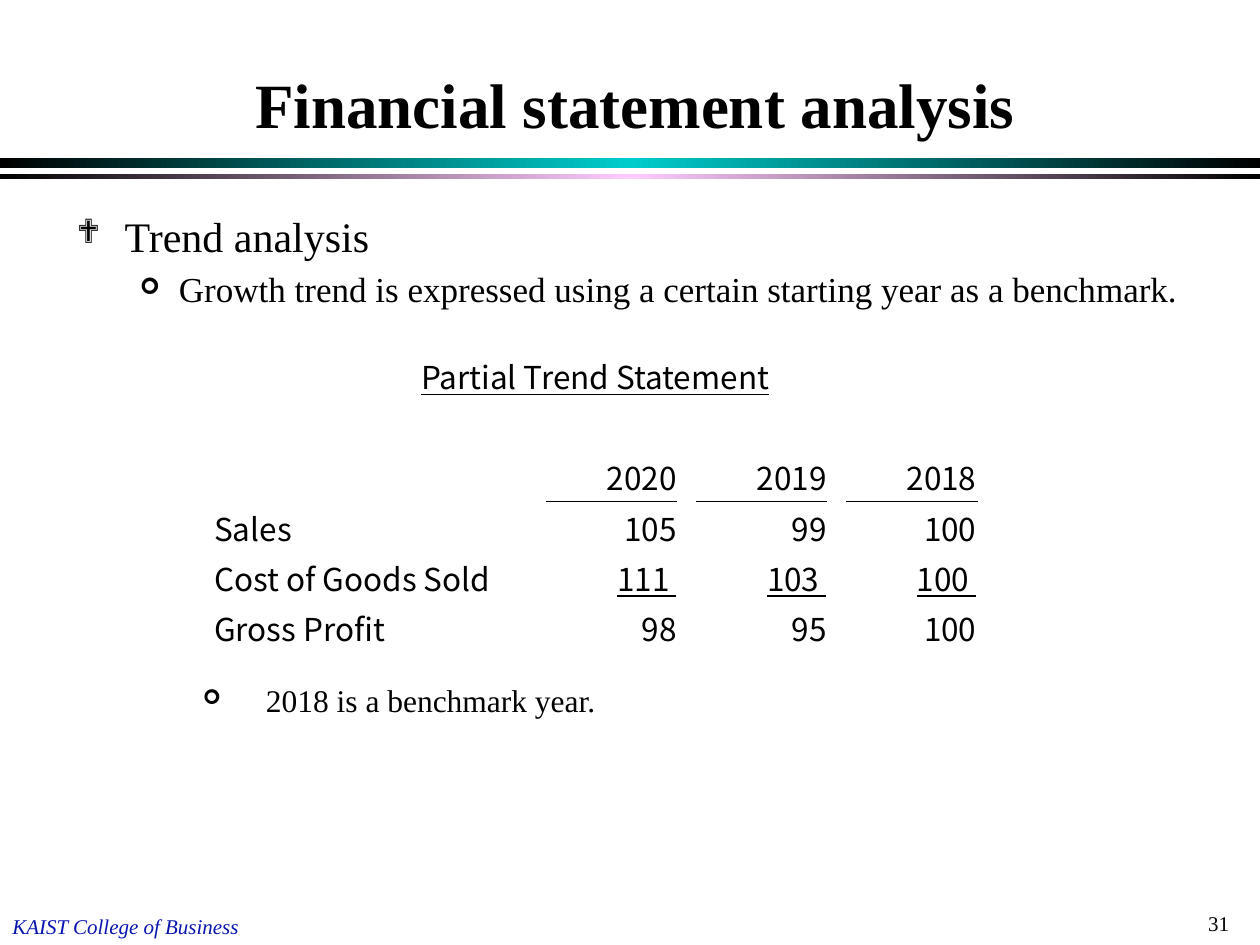
from copy import deepcopy

from lxml.etree import SubElement
from pptx import Presentation
from pptx.dml.color import RGBColor
from pptx.enum.shapes import MSO_SHAPE
from pptx.enum.text import MSO_ANCHOR, MSO_AUTO_SIZE, PP_ALIGN
from pptx.oxml.ns import qn
from pptx.util import Inches, Pt

SERIF = "Times New Roman"
SANS = "Noto Sans CJK KR"


def color(hex_code):
    return RGBColor.from_string(hex_code)


def write(para, text, size=18, font=SERIF, ink="000000", bold=False,
          italic=False, underline=False, align=PP_ALIGN.LEFT, before=0):
    para.alignment = align
    para.space_before = Pt(before)
    span = para.add_run()
    span.text = text
    span.font.size = Pt(size)
    span.font.name = font
    span.font.color.rgb = color(ink)
    span.font.bold = bold
    span.font.italic = italic
    span.font.underline = underline


def place(shape, box):
    shape.left, shape.top, shape.width, shape.height = map(Inches, box)


def add_bullet(para, mark, percent, indent, hanging):
    props = para._p.get_or_add_pPr()
    props.set("marL", str(Inches(indent)))
    props.set("indent", str(-Inches(hanging)))
    SubElement(SubElement(props, qn("a:buClr")), qn("a:srgbClr"), val="000000")
    SubElement(props, qn("a:buSzPct"), val=str(percent * 1000))
    SubElement(props, qn("a:buFont"), typeface="Wingdings")
    SubElement(props, qn("a:buChar"), char=mark)


def add_gradient_bar(page, box, middle):
    bar = page.shapes.add_shape(MSO_SHAPE.RECTANGLE, *map(Inches, box))
    bar.shadow.inherit = False
    bar.line.fill.background()
    bar.fill.gradient()
    bar.fill.gradient_angle = 0
    # A third stop puts the bright colour in the middle
    stop_list = bar._element.spPr.find(".//" + qn("a:gsLst"))
    stop_list.append(deepcopy(stop_list[-1]))
    stops = zip(bar.fill.gradient_stops, (0, 0.5, 1), ("000000", middle, "000000"))
    for stop, position, hex_code in stops:
        stop.position = position
        stop.color.rgb = color(hex_code)


def add_label(page, box, text, wrap=True, **look):
    label = page.shapes.add_textbox(*map(Inches, box))
    label.text_frame.word_wrap = wrap
    write(label.text_frame.paragraphs[0], text, size=12, **look)


def fill_title(page, box):
    title = page.shapes.title
    place(title, box)
    frame = title.text_frame
    frame.auto_size = MSO_AUTO_SIZE.NONE
    frame.vertical_anchor = MSO_ANCHOR.BOTTOM
    write(frame.paragraphs[0], "Financial statement analysis", size=36,
          bold=True, align=PP_ALIGN.CENTER)


def fill_body(page, box):
    body = page.placeholders[1]
    place(body, box)
    frame = body.text_frame
    frame.auto_size = MSO_AUTO_SIZE.NONE
    # Text, level, size, space before, bullet; the last gap clears the table
    items = [
        ("Trend analysis", 0, 24, 0, ("❖", 80, 0.38, 0.38)),
        ("Growth trend is expressed using a certain starting year as a benchmark.",
         1, 20, 4, ("➢", 65, 0.81, 0.31)),
        ("2018 is a benchmark year.", 2, 18, 212, ("➢", 65, 1.5, 0.5)),
    ]
    for number, (text, level, size, before, bullet) in enumerate(items):
        para = frame.add_paragraph() if number else frame.paragraphs[0]
        para.level = level
        add_bullet(para, *bullet)
        write(para, text, size=size, before=before)


def add_rule(cell, side):
    props = cell._tc.get_or_add_tcPr()
    line = SubElement(props, qn(f"a:{side}"), w=str(Pt(0.5)))
    fill = SubElement(line, qn("a:solidFill"))
    SubElement(fill, qn("a:srgbClr"), val="000000")


def add_trend_table(page, box):
    rows = [
        ["Partial Trend Statement"],
        [],
        ["", "2020", "2019", "2018"],
        ["Sales", "105", "99", "100"],
        ["Cost of Goods Sold", "111 ", "103 ", "100 "],
        ["Gross Profit", "98", "95", "100"],
    ]
    title_row, year_row, cost_row = 0, 2, 4
    widths = [2.65, 1.04, 0.15, 1.04, 0.15, 1.04]
    table = page.shapes.add_table(len(rows), len(widths), *map(Inches, box)).table
    table.first_row = table.horz_banding = False
    for column, width in zip(table.columns, widths):
        column.width = Inches(width)

    for cell in table.iter_cells():
        cell.margin_left = cell.margin_right = cell.margin_top = Inches(0.01)
        cell.margin_bottom = 0
        cell.vertical_anchor = MSO_ANCHOR.MIDDLE
    table.cell(0, 0).merge(table.cell(0, len(widths) - 1))

    for row, texts in enumerate(rows):
        for number, text in enumerate(texts):
            # Narrow spacer columns stand between the years
            cell = table.cell(row, max(0, 2 * number - 1))
            if number and row == year_row:
                add_rule(cell, "lnB")
            elif number and row == year_row + 1:
                add_rule(cell, "lnT")
            if text:
                align = PP_ALIGN.RIGHT if number else PP_ALIGN.LEFT
                if row == title_row:
                    align = PP_ALIGN.CENTER
                underline = row == title_row or (row == cost_row and number > 0)
                write(cell.text_frame.paragraphs[0], text, font=SANS,
                      underline=underline, align=align)
    for cell in table.iter_cells():
        cell.fill.background()


def main():
    deck = Presentation()
    deck.slide_width, deck.slide_height = Inches(10), Inches(7.5)
    page = deck.slides.add_slide(deck.slide_layouts[1])

    # Header
    add_gradient_bar(page, (0, 1.25, 10, 0.08), "00CCCC")
    add_gradient_bar(page, (0, 1.38, 10, 0.04), "FFCCFF")
    fill_title(page, (0.51, 0.25, 9.06, 0.92))

    # Content
    fill_body(page, (0.51, 1.62, 9.06, 5.75))
    add_trend_table(page, (1.69, 2.78, 6.07, 2.4))

    # Footer
    add_label(page, (9.49, 7.18, 0.59, 0.3), "31")
    add_label(page, (0, 7.2, 2.02, 0.3), "KAIST College of Business",
              wrap=False, ink="0915AF", italic=True)

    deck.save("out.pptx")


if __name__ == "__main__":
    main()
